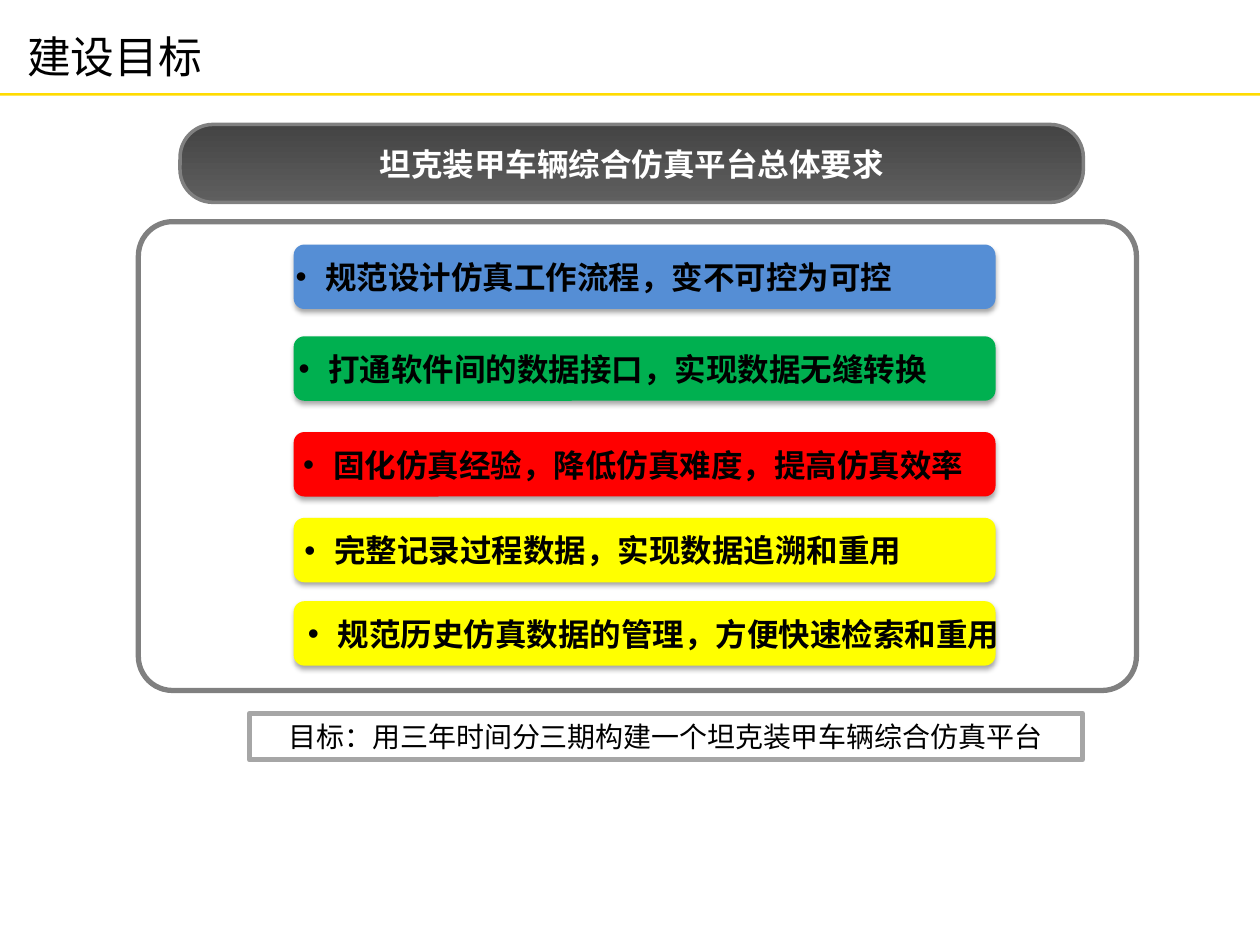
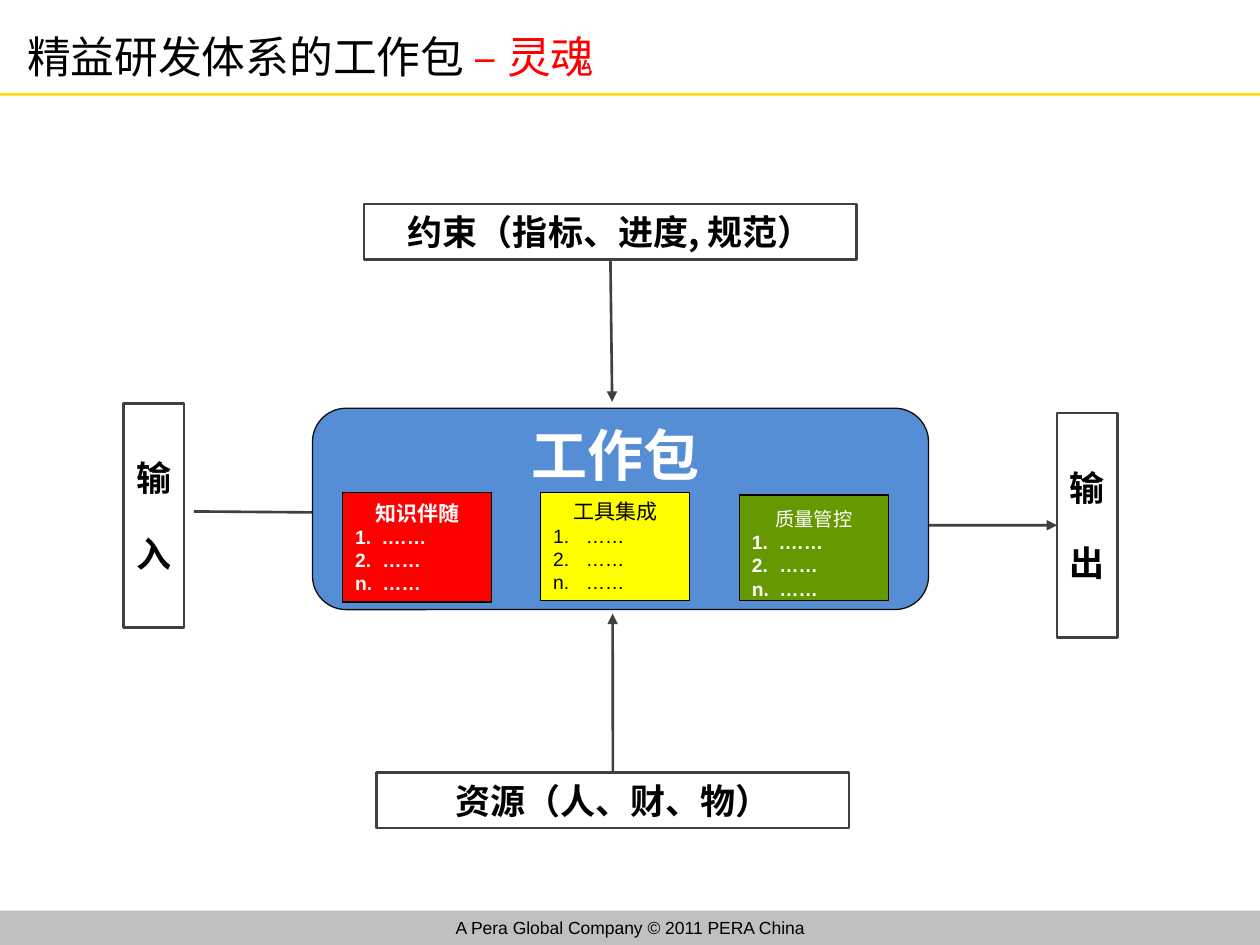
from lxml.etree import SubElement
from pptx import Presentation
from pptx.dml.color import RGBColor
from pptx.enum.shapes import MSO_CONNECTOR, MSO_SHAPE
from pptx.enum.text import MSO_ANCHOR, PP_ALIGN
from pptx.oxml.ns import qn
from pptx.util import Cm, Pt

BLACK = RGBColor(0x00, 0x00, 0x00)
NEAR_BLACK = RGBColor(0x0D, 0x0D, 0x0D)
CHARCOAL = RGBColor(0x40, 0x40, 0x40)
HEADER_TOP = RGBColor(0x44, 0x44, 0x44)
HEADER_BOTTOM = RGBColor(0x5F, 0x5F, 0x5F)
GREY = RGBColor(0x80, 0x80, 0x80)
LIGHT_GREY = RGBColor(0xA6, 0xA6, 0xA6)
FOOTER_GREY = RGBColor(0xC0, 0xC0, 0xC0)
WHITE = RGBColor(0xFF, 0xFF, 0xFF)
GOLD = RGBColor(0xFF, 0xDB, 0x01)
BLUE = RGBColor(0x55, 0x8E, 0xD5)
GREEN = RGBColor(0x00, 0xB0, 0x50)
OLIVE = RGBColor(0x66, 0x99, 0x00)
RED = RGBColor(0xFF, 0x00, 0x00)
YELLOW = RGBColor(0xFF, 0xFF, 0x00)

LATIN_FONT = "Arial"
CHINESE_FONT = "Noto Sans CJK SC"
TARGET_FONT = "Noto Sans CJK JP"
SLIDE_WIDTH, SLIDE_HEIGHT = 25.4, 19.05


def add_box(slide, left, top, width, height, fill=None, line=None,
            line_width=0.75, corner=None):
    """Add a rectangle, rounded when a corner ratio is given."""
    kind = MSO_SHAPE.RECTANGLE if corner is None else MSO_SHAPE.ROUNDED_RECTANGLE
    shape = slide.shapes.add_shape(kind, Cm(left), Cm(top), Cm(width), Cm(height))
    shape.shadow.inherit = False
    if corner is not None:
        shape.adjustments[0] = corner
    if fill is None:
        shape.fill.background()
    else:
        shape.fill.solid()
        shape.fill.fore_color.rgb = fill
    if line is None:
        shape.line.fill.background()
    else:
        shape.line.color.rgb = line
        shape.line.width = Pt(line_width)
    return shape


def add_run(paragraph, text, size, color=BLACK, bold=False, font=LATIN_FONT):
    run = paragraph.add_run()
    run.text = text
    run.font.size = Pt(size)
    run.font.bold = bold
    run.font.color.rgb = color
    run.font.name = font
    east_asian = SubElement(run.font._element, qn("a:ea"))
    east_asian.set("typeface", CHINESE_FONT)


def write_paragraph(shape, text, size, color=BLACK, bold=False, font=LATIN_FONT,
                    align=PP_ALIGN.CENTER):
    """Write into the empty first paragraph, or else into a new one."""
    frame = shape.text_frame
    paragraph = frame.paragraphs[0]
    if paragraph.runs:
        paragraph = frame.add_paragraph()
    paragraph.alignment = align
    add_run(paragraph, text, size, color, bold, font)
    return paragraph


def set_frame(shape, anchor=MSO_ANCHOR.MIDDLE, wrap=True):
    shape.text_frame.vertical_anchor = anchor
    shape.text_frame.word_wrap = wrap


def hang_indent(paragraph, distance):
    properties = paragraph._p.get_or_add_pPr()
    properties.set("marL", str(Cm(distance)))
    properties.set("indent", str(-Cm(distance)))
    return properties


def add_soft_shadow(shape):
    effects = shape._element.spPr.find(qn("a:effectLst"))
    shadow = SubElement(effects, qn("a:outerShdw"), blurRad=str(Pt(3.1)),
                        dist=str(Pt(1.8)), dir="5400000", rotWithShape="0")
    color = SubElement(shadow, qn("a:srgbClr"), val=str(BLACK))
    SubElement(color, qn("a:alpha"), val="35000")


def add_line(slide, start, end, arrow=True):
    connector = slide.shapes.add_connector(
        MSO_CONNECTOR.STRAIGHT, *(Cm(value) for value in (*start, *end)))
    connector.line.color.rgb = CHARCOAL
    connector.line.width = Pt(1.5)
    if arrow:
        SubElement(connector.line._get_or_add_ln(), qn("a:tailEnd"), type="triangle")
    SubElement(connector._element.spPr, qn("a:effectLst"))
    return connector


def add_titled_slide(presentation, title_parts):
    """Add a blank slide with the gold rule and a title of (text, colour) parts."""
    slide = presentation.slides.add_slide(presentation.slide_layouts[6])
    add_box(slide, 0, 1.88, SLIDE_WIDTH, 0.05, GOLD)
    title = slide.shapes.add_textbox(Cm(0.3), Cm(-0.05), Cm(18.64), Cm(2.36))
    set_frame(title)
    for text, color in title_parts:
        add_run(title.text_frame.paragraphs[0], text, 25, color)
    return slide


def add_footer(slide):
    footer = add_box(slide, 0, 18.36, SLIDE_WIDTH, 0.69, FOOTER_GREY)
    set_frame(footer)
    write_paragraph(footer, "A Pera Global Company © 2011 PERA China", 10)


def add_requirement(slide, top, color, label_left, text):
    """Add a coloured bar with its bulleted label on top."""
    bar = add_box(slide, 5.92, top, 14.15, 1.3, color, corner=0.167)
    add_soft_shadow(bar)
    label = add_box(slide, label_left, top + 0.2, 9.73, 0.91, corner=0.076)
    set_frame(label, wrap=False)
    paragraph = write_paragraph(label, text, 18, bold=True)
    properties = hang_indent(paragraph, 0.6)
    SubElement(properties, qn("a:buFont"), typeface=LATIN_FONT)
    SubElement(properties, qn("a:buChar"), char="•")


def add_flow_box(slide, left, top, width, height, *lines):
    """Add an outlined box; each further line stands well below the last."""
    box = add_box(slide, left, top, width, height, WHITE, CHARCOAL, 1.5)
    set_frame(box)
    for index, text in enumerate(lines):
        paragraph = write_paragraph(box, text, 20, bold=True, font=CHINESE_FONT)
        if index:
            paragraph.space_before = Pt(19)
    return box


def add_component(slide, left, top, height, fill, color, heading, items,
                  heading_size=12, heading_bold=False, items_bold=False,
                  heading_spacing=1.0, item_indent=0.55, anchor=MSO_ANCHOR.MIDDLE):
    """Add a part of the work package: a heading above numbered items."""
    box = add_box(slide, left, top, 3, height, fill, BLACK)
    set_frame(box, anchor)
    paragraph = write_paragraph(box, heading, heading_size, color, heading_bold)
    paragraph.line_spacing = heading_spacing
    for number, item in zip("12n", items):
        paragraph = write_paragraph(box, f"{number}.\t{item}", 11, color,
                                    items_bold, align=PP_ALIGN.LEFT)
        properties = hang_indent(paragraph, item_indent)
        tabs = SubElement(properties, qn("a:tabLst"))
        SubElement(tabs, qn("a:tab"), pos=str(Cm(item_indent)), algn="l")


def build_goals_slide(presentation):
    slide = add_titled_slide(presentation, [("建设目标", BLACK)])
    add_box(slide, 2.79, 4.47, 20.12, 9.45, line=GREY, line_width=3, corner=0.073)

    header = add_box(slide, 3.63, 2.51, 18.21, 1.57, line=GREY, line_width=2,
                     corner=0.422)
    header.fill.gradient()
    header.fill.gradient_angle = 270
    for stop, color in zip(header.fill.gradient_stops, (HEADER_TOP, HEADER_BOTTOM)):
        stop.color.rgb = color
    set_frame(header, wrap=False)
    write_paragraph(header, "坦克装甲车辆综合仿真平台总体要求", 18, WHITE, bold=True)

    requirements = [
        (4.93, BLUE, 7.11, "规范设计仿真工作流程，变不可控为可控"),
        (6.78, GREEN, 7.49, "打通软件间的数据接口，实现数据无缝转换"),
        (8.71, RED, 7.9, "固化仿真经验，降低仿真难度，提高仿真效率"),
        (10.44, YELLOW, 7.29, "完整记录过程数据，实现数据追溯和重用"),
        (12.12, YELLOW, 8.31, "规范历史仿真数据的管理，方便快速检索和重用"),
    ]
    for requirement in requirements:
        add_requirement(slide, *requirement)

    target = add_box(slide, 5.03, 14.38, 16.79, 0.94, line=LIGHT_GREY, line_width=3)
    set_frame(target)
    write_paragraph(target, "目标：用三年时间分三期构建一个坦克装甲车辆综合仿真平台",
                    16, font=TARGET_FONT)


def build_work_package_slide(presentation):
    slide = add_titled_slide(
        presentation, [("精益研发体系的工作包 ", BLACK), ("– 灵魂", RED)])
    add_flow_box(slide, 2.49, 8.13, 1.22, 4.52, "输", "入")
    output_box = add_flow_box(slide, 21.31, 8.33, 1.22, 4.52, "输", "出")
    constraint_box = add_flow_box(slide, 7.34, 4.11, 9.93, 1.12,
                                  "约束（指标、进度, 规范）")
    resource_box = add_flow_box(slide, 7.59, 15.57, 9.53, 1.12, "资源（人、财、物）")

    add_line(slide, (3.91, 10.31), (7.67, 10.34), arrow=False)
    add_line(slide, (17.09, 10.59), (21.31, 10.59)).end_connect(output_box, 1)
    add_line(slide, (12.3, 5.23), (12.34, 8.1)).begin_connect(constraint_box, 2)
    add_line(slide, (12.35, 15.57), (12.35, 12.37)).begin_connect(resource_box, 0)

    add_box(slide, 6.3, 8.23, 12.42, 4.06, BLUE, NEAR_BLACK, corner=0.167)
    package_name = slide.shapes.add_textbox(Cm(7.9), Cm(8.33), Cm(9.04), Cm(1.63))
    set_frame(package_name)
    write_paragraph(package_name, "工作包", 32, WHITE, True, CHINESE_FONT)

    plain_items = ["……"] * 3
    dotted_items = [".……", "……", "……"]
    add_component(slide, 10.9, 9.93, 2.18, YELLOW, BLACK, "工具集成", plain_items,
                  item_indent=0.66, anchor=MSO_ANCHOR.TOP)
    add_component(slide, 6.91, 9.93, 2.21, RED, WHITE, "知识伴随", dotted_items,
                  heading_bold=True, items_bold=True)
    add_component(slide, 14.91, 9.98, 2.13, OLIVE, WHITE, "质量管控", dotted_items,
                  heading_size=11, items_bold=True, heading_spacing=1.5)
    add_footer(slide)


def main():
    presentation = Presentation()
    presentation.slide_width = Cm(SLIDE_WIDTH)
    presentation.slide_height = Cm(SLIDE_HEIGHT)
    build_goals_slide(presentation)
    build_work_package_slide(presentation)
    presentation.save("out.pptx")


if __name__ == "__main__":
    main()
